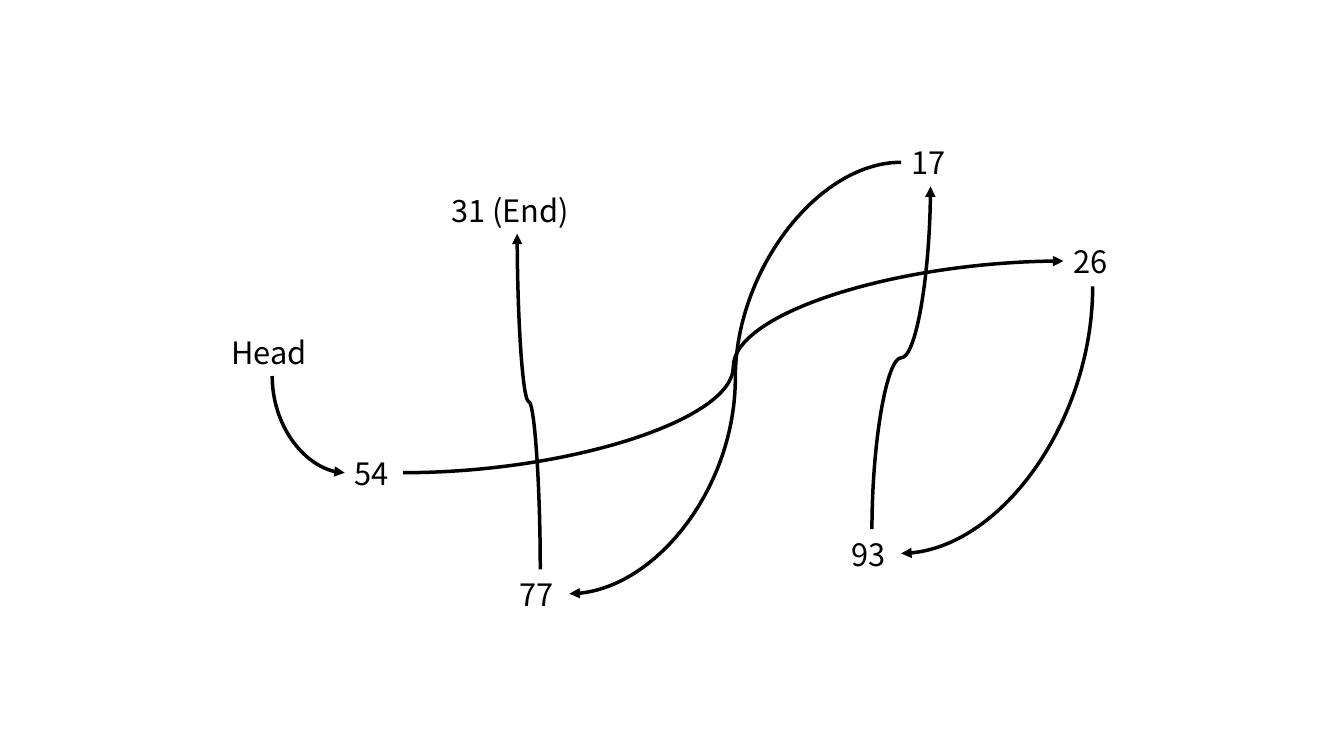
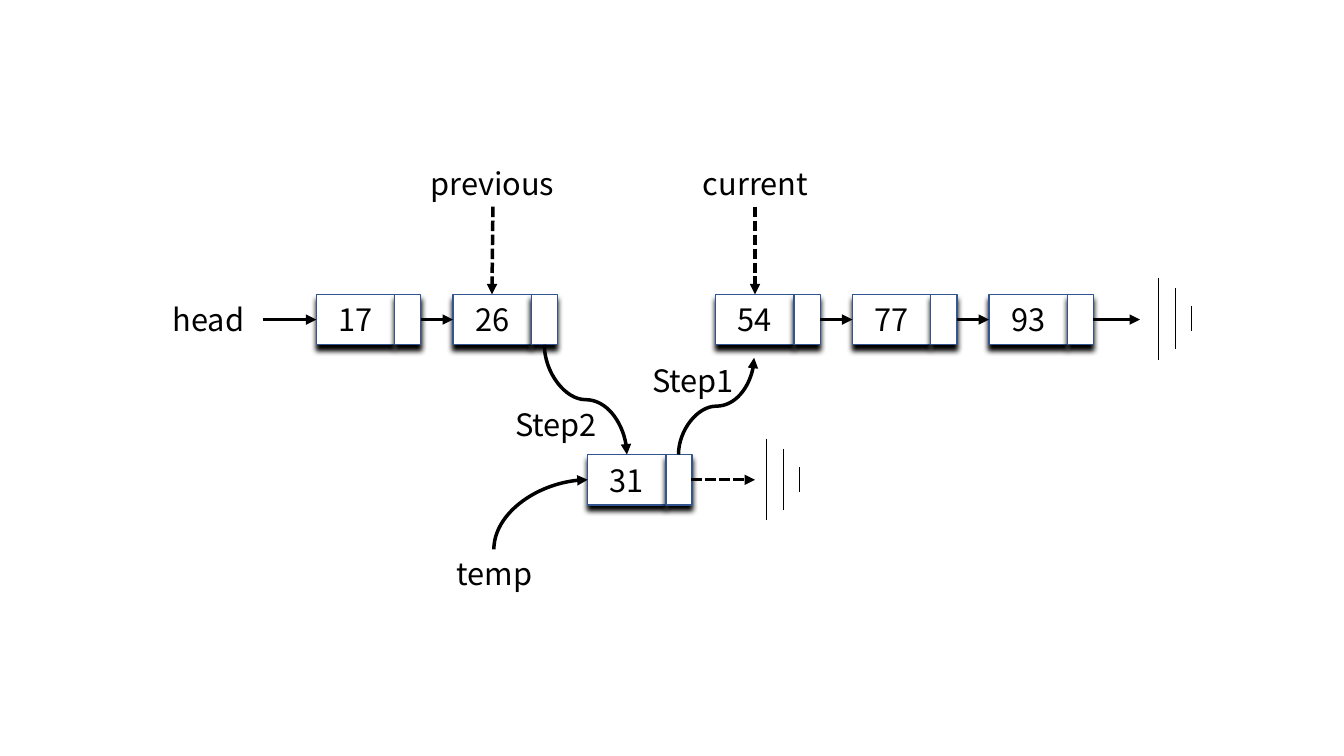
import math
import pptx
import pptx.util
import pptx.dml.color
import pptx.enum.dml
import pptx.enum.shapes
import pptx.enum.text
import pptx.oxml.ns
from lxml import etree

Pt = pptx.util.Pt
qn = pptx.oxml.ns.qn
Align = pptx.enum.text.PP_ALIGN
Kind = pptx.enum.shapes.MSO_CONNECTOR


class Theme:
    font = "Noto Sans CJK KR"
    size = 22
    ink = pptx.dml.color.RGBColor.from_string("000000")
    paper = pptx.dml.color.RGBColor.from_string("FFFFFF")
    edge = pptx.dml.color.RGBColor.from_string("325491")
    arrow, border, thin = 2.5, 1, 0.5
    blur, drop = 4, 4


# Scattered list: (text, left, top, width, height)
SPOTS = [
    ("31 (End)", 315.4, 133.2, 107.3, 34),
    ("17", 643.7, 97.9, 42.5, 35.3),
    ("26", 759.6, 169.2, 42.5, 35.3),
    ("54", 246.2, 320.4, 42.5, 35.3),
    ("77", 364.3, 406.8, 42.5, 35.3),
    ("93", 601.2, 378, 42.5, 35.3),
    ("Head", 158.4, 234.7, 72, 34),
]
# Curves: (start, end, first direction, bends); "v" leaves vertically
JUMPS = [
    ((194.4, 268.6), (246.2, 337.7), "v", 2),
    ((288, 337.7), (759.6, 186.5), "h", 3),
    ((385.9, 406.8), (369.4, 167), "v", 3),
    ((643.7, 115.9), (406.8, 424.1), "h", 3),
    ((622.8, 378), (664.6, 133.2), "v", 3),
    ((780.5, 204.5), (643.7, 395.3), "v", 2),
]

# Insertion: runs of nodes (values, left, top)
CELL, SLOT, TALL, PITCH = 55.9, 18.7, 36, 97.6
ROW, LOW = 210.3, 324.7
RUNS = [
    (["17", "26"], 226, ROW),
    (["31"], 419.8, LOW),
    (["54", "77", "93"], 511.3, ROW),
]
MID, LOWMID = ROW + TALL / 2, LOW + TALL / 2
TAGS = [
    ("head", 109.4, 211, 79.2),
    ("previous", 298.1, 113.8, 107.3),
    ("current", 494.6, 113.8, 90),
    ("temp", 308.2, 392.4, 90),
    ("Step2", 352.1, 285.8, 90),
    ("Step1", 450, 254.9, 90),
]
TAG_TALL = 34
# Straight arrows: (start, end, dashed)
ARROWS = [
    ((187.9, MID), (226, MID), False),
    ((780.5, MID), (814.3, MID), False),
    ((352.1, 147.6), (351.4, ROW), True),
    ((539.3, 147.6), (539.3, ROW), True),
    ((493.9, LOWMID), (539.3, LOWMID), True),
]
STEPS = [
    ((352.8, 392.4), (419.8, LOWMID), "v", 2),
    ((388.8, 246.3), (447.8, LOW), "v", 3),
    ((484.6, LOW), (538.6, 255.6), "v", 3),
]
# Ground marks: (left, middle), and bars as (offset, length)
GROUNDS = [(827.3, 227.6), (547.2, 342.5)]
BARS = [(0, 58.5), (12.2, 43.6), (23.5, 18)]


def write(shape, text, align):
    frame = shape.text_frame
    frame.word_wrap = True
    frame.vertical_anchor = pptx.enum.text.MSO_ANCHOR.MIDDLE
    para = frame.paragraphs[0]
    para.text = text
    para.alignment = align
    para.font.name = Theme.font
    para.font.size = Pt(Theme.size)
    para.font.color.rgb = Theme.ink


def label(slide, text, box, align):
    write(slide.shapes.add_textbox(*map(Pt, box)), text, align)


def line(slide, start, end, kind=Kind.STRAIGHT, width=Theme.arrow,
         dash=False, head=True):
    wire = slide.shapes.add_connector(kind, *map(Pt, start + end))
    wire.line.color.rgb = Theme.ink
    wire.line.width = Pt(width)
    if dash:
        wire.line.dash_style = pptx.enum.dml.MSO_LINE.SQUARE_DOT
    props = wire._element.spPr
    if head:
        etree.SubElement(props.find(qn("a:ln")), qn("a:tailEnd"),
                         type="triangle")
    etree.SubElement(props, qn("a:effectLst"))
    return props


def curve(slide, start, end, way, bends):
    if way == "h":
        line(slide, start, end, Kind.CURVE)
        return
    # A vertical start is a horizontal one, turned about the middle
    (x1, y1), (x2, y2) = start, end
    dx, dy = x2 - x1, y2 - y1
    sign = math.copysign(1, dx * dy)
    mx, my = (x1 + x2) / 2, (y1 + y2) / 2
    hx, hy = sign * dy / 2, sign * dx / 2
    props = line(slide, (mx + hx, my - hy), (mx - hx, my + hy), Kind.CURVE)
    turn = 270 if sign > 0 else 90
    props.find(qn("a:xfrm")).set("rot", str(turn * 60000))
    props.find(qn("a:prstGeom")).set("prst", f"curvedConnector{bends}")


def block(slide, left, top, width, text=""):
    rect = slide.shapes.add_shape(
        pptx.enum.shapes.MSO_SHAPE.RECTANGLE,
        *map(Pt, (left, top, width, TALL)))
    rect.fill.solid()
    rect.fill.fore_color.rgb = Theme.paper
    rect.line.color.rgb = Theme.edge
    rect.line.width = Pt(Theme.border)
    rect.shadow.inherit = False
    shade = etree.SubElement(
        rect._element.spPr.find(qn("a:effectLst")), qn("a:outerShdw"),
        blurRad=str(Pt(Theme.blur)), dist=str(Pt(Theme.drop)),
        dir=str(90 * 60000), algn="t", rotWithShape="0")
    etree.SubElement(shade, qn("a:srgbClr"), val=str(Theme.ink))
    if text:
        write(rect, text, Align.CENTER)


def scatter(slide):
    for text, *box in SPOTS:
        label(slide, text, box, Align.LEFT)
    for jump in JUMPS:
        curve(slide, *jump)


def insert(slide):
    # Nodes
    for values, left, top in RUNS:
        for i, value in enumerate(values):
            x = left + i * PITCH
            block(slide, x, top, CELL, value)
            block(slide, x + CELL, top, SLOT)
    # Links inside each run
    for values, left, top in RUNS:
        for i in range(1, len(values)):
            x, y = left + i * PITCH, top + TALL / 2
            line(slide, (x - PITCH + CELL + SLOT, y), (x, y))
    # Pointers and steps
    for start, end, dash in ARROWS:
        line(slide, start, end, dash=dash)
    for step in STEPS:
        curve(slide, *step)
    # Ground marks
    for left, mid in GROUNDS:
        for shift, size in BARS:
            x = left + shift
            line(slide, (x, mid - size / 2), (x, mid + size / 2),
                 width=Theme.thin, head=False)
    # Labels
    for text, *box in TAGS:
        label(slide, text, box + [TAG_TALL], Align.CENTER)


def main():
    deck = pptx.Presentation()
    deck.slide_width, deck.slide_height = Pt(960), Pt(540)
    for draw in (scatter, insert):
        draw(deck.slides.add_slide(deck.slide_layouts[6]))
    deck.save("out.pptx")


if __name__ == "__main__":
    main()
